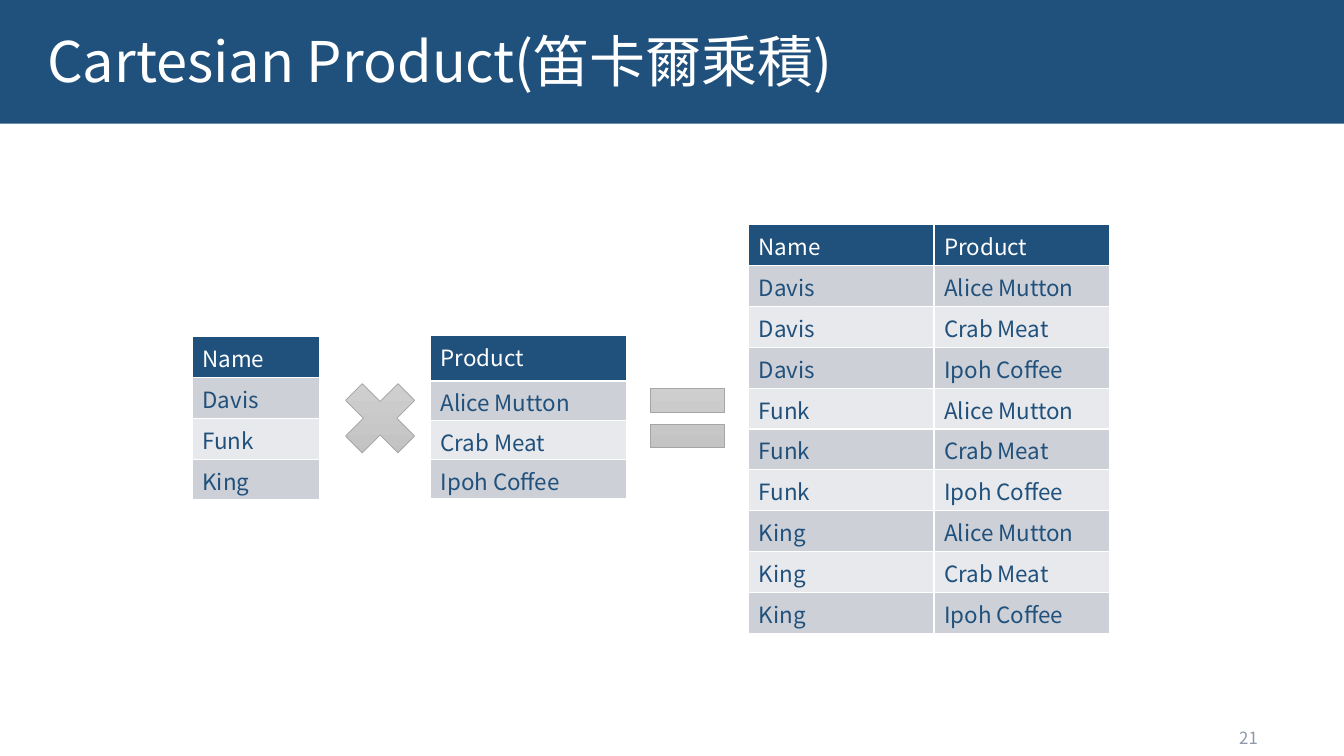
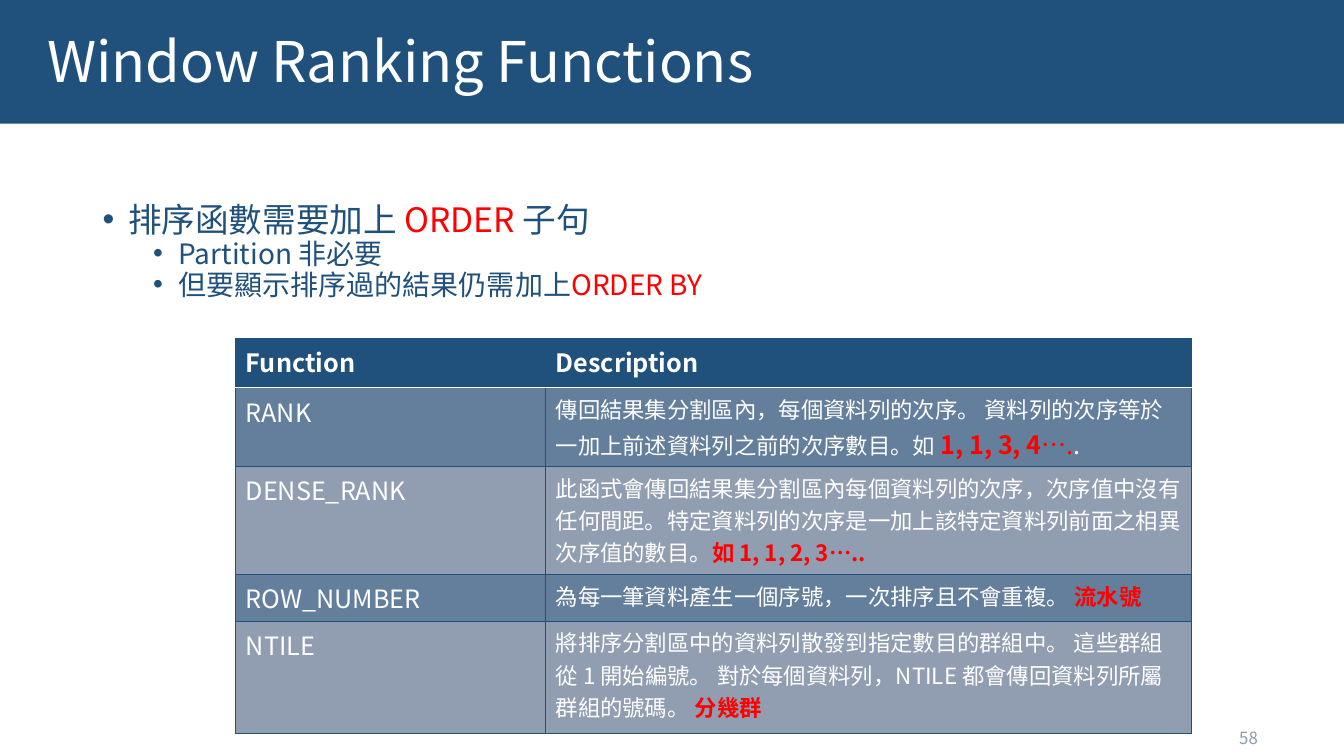
from dataclasses import dataclass
from itertools import product

from lxml import etree
from pptx import Presentation
from pptx.dml.color import RGBColor
from pptx.enum.shapes import MSO_SHAPE
from pptx.enum.text import MSO_ANCHOR, PP_ALIGN
from pptx.oxml.ns import qn
from pptx.util import Cm, Pt

RECTANGLE = MSO_SHAPE.RECTANGLE
MULTIPLY, EQUAL = MSO_SHAPE.MATH_MULTIPLY, MSO_SHAPE.MATH_EQUAL
MIDDLE, RIGHT = MSO_ANCHOR.MIDDLE, PP_ALIGN.RIGHT

FONT = "Noto Sans CJK SC"
NAVY, WHITE, RED, GREY = "20517C", "FFFFFF", "FF0000", "8D98AA"
BANDS = ("CDD0D7", "E8E9EC")
DARK_BANDS = ("647F9C", "919DB1")
OPERATOR_LIGHT, OPERATOR_DARK, OPERATOR_EDGE = "D2D2D2", "C0C0C0", "A5A5A5"
SIDES = ("L", "R", "T", "B")
HIGHLIGHT = {"color": RED, "bold": True}


@dataclass
class Box:
    """A region of the slide, in centimetres."""

    left: float
    top: float
    width: float
    height: float

    def lengths(self):
        """Return the four lengths in the order that shapes take them."""
        return tuple(map(Cm, (self.left, self.top, self.width, self.height)))


PAGE = Box(0, 0, 33.87, 19.05)
BAND = Box(0, 0, PAGE.width, 3.12)
TITLE = Box(0.94, 0.86, 32, 1.37)
PAGE_NUMBER = Box(24.33, 18.08, 7.62, 1.02)
EQUATION = Box(4.85, 5.66, 23.11, 10.3)
BULLETS = Box(2.34, 5.08, 29.21, 12.09)
FUNCTIONS = Box(5.94, 8.53, 24.09, 9.95)

NAMES = ("Davis", "Funk", "King")
PRODUCTS = ("Alice Mutton", "Crab Meat", "Ipoh Coffee")

RANKING_NOTES = [
    (0, ["排序函數需要加上 ", ("ORDER ", {"color": RED}), "子句"]),
    (1, ["Partition 非必要"]),
    (1, ["但要顯示排序過的結果仍需加上", ("ORDER BY", {"color": RED})]),
]
RANKING_FUNCTIONS = [
    ("RANK", [
        "傳回結果集分割區內，每個資料列的次序。 資料列的次序等於一加上前述資料列之前的次序數目。如 ",
        ("1, 1, 3, 4", {"size": 18, **HIGHLIGHT}),
        ("….", {"size": 18, "color": RED}),
        (".", {"size": 18}),
    ]),
    ("DENSE_RANK", [
        "此函式會傳回結果集分割區內每個資料列的次序，次序值中沒有任何間距。"
        "特定資料列的次序是一加上該特定資料列前面之相異次序值的數目。",
        ("如 1, 1, 2, 3…..", HIGHLIGHT),
    ]),
    ("ROW_NUMBER", [
        "為每一筆資料產生一個序號，一次排序且不會重複。 ",
        ("流水號", HIGHLIGHT),
    ]),
    ("NTILE", [
        "將排序分割區中的資料列散發到指定數目的群組中。 這些群組從 1 開始編號。 "
        "對於每個資料列，NTILE 都會傳回資料列所屬群組的號碼。 ",
        ("分幾群", HIGHLIGHT),
    ]),
]


def rgb(value):
    """Turn a hex string into a colour."""
    return RGBColor.from_string(value)


def apply(target, values):
    """Set each named attribute of the target."""
    for name, value in values.items():
        setattr(target, name, value)


def write(paragraph, pieces, size, color, bold=False):
    """Write plain or specially formatted pieces as runs."""
    for piece in pieces:
        text, changes = (piece, {}) if isinstance(piece, str) else piece
        look = {"size": size, "color": color, "bold": bold, **changes}
        run = paragraph.add_run()
        run.text = text
        apply(run.font, {"name": FONT, "size": Pt(look["size"]), "bold": look["bold"]})
        run.font.color.rgb = rgb(look["color"])
        latin = run.font._element.find(qn("a:latin"))
        latin.addnext(latin.makeelement(qn("a:ea"), {"typeface": FONT}))


def add_text(slide, box):
    """Add a wrapping text box and return its text frame."""
    frame = slide.shapes.add_textbox(*box.lengths()).text_frame
    frame.word_wrap = True
    return frame


def add_frame(slide, title, number):
    """Place the title band, the title and the page number."""
    band = slide.shapes.add_shape(RECTANGLE, *BAND.lengths())
    band.shadow.inherit = False
    band.fill.solid()
    band.fill.fore_color.rgb = rgb(NAVY)
    band.line.fill.background()
    heading = add_text(slide, TITLE).paragraphs[0]
    heading.line_spacing = 0.8
    write(heading, [title], 40, WHITE)
    footer = add_text(slide, PAGE_NUMBER)
    footer.vertical_anchor = MIDDLE
    footer.paragraphs[0].alignment = RIGHT
    write(footer.paragraphs[0], [number], 12, GREY)


def set_border(cell, side, color, width):
    """Draw one side of a cell."""
    properties = cell._tc.get_or_add_tcPr()
    line = etree.SubElement(properties, qn(f"a:ln{side}"), w=str(Pt(width)))
    fill = etree.SubElement(line, qn("a:solidFill"))
    etree.SubElement(fill, qn("a:srgbClr"), val=color)


def add_grid(slide, left, top, widths, heights, rows, bands, edge, sizes, text_color, bold=False):
    """Place a table with a navy header, banded rows and thin borders."""
    box = Box(left, top, sum(widths), sum(heights))
    table = slide.shapes.add_table(len(rows), len(widths), *box.lengths()).table
    apply(table, {"first_row": False, "horz_banding": False})
    for column, width in zip(table.columns, widths):
        column.width = Cm(width)
    for row, height in zip(table.rows, heights):
        row.height = Cm(height)
    for r, c in product(range(len(rows)), range(len(widths))):
        cell, content = table.cell(r, c), rows[r][c]
        for side in SIDES:
            below_header = (r, side) in ((0, "B"), (1, "T"))
            set_border(cell, side, *((WHITE, 1) if below_header else edge))
        cell.fill.solid()
        cell.fill.fore_color.rgb = rgb(bands[(r - 1) % 2] if r else NAVY)
        pieces = [content] if isinstance(content, str) else content
        size = sizes[c] if r else sizes[0]
        write(cell.text_frame.paragraphs[0], pieces, size,
              text_color if r else WHITE, bold and r == 0)


def add_operator(slide, kind, left, middle):
    """Place a grey operator sign centred on a height."""
    side = 2.54
    sign = slide.shapes.add_shape(kind, *Box(left, middle - side / 2, side, side).lengths())
    sign.shadow.inherit = False
    sign.fill.gradient()
    sign.fill.gradient_angle = 270
    for stop, color in zip(sign.fill.gradient_stops, (OPERATOR_LIGHT, OPERATOR_DARK)):
        stop.color.rgb = rgb(color)
    sign.line.color.rgb = rgb(OPERATOR_EDGE)
    sign.line.width = Pt(0.5)


def add_equation(slide, box):
    """Place names times products equals all pairs."""
    middle = box.top + 4.88
    row = box.height / 10
    names = [("Name",), *((name,) for name in NAMES)]
    products = [("Product",), *((item,) for item in PRODUCTS)]
    pairs = [("Name", "Product"), *product(NAMES, PRODUCTS)]
    grids = [
        (0, middle - 2.06, (3.2,), [row] * 4, names),
        (6, middle - 2.08, (4.93,), [1.14, 0.99, 0.99, 0.99], products),
        (14.02, box.top, (4.67, 4.42), [row] * 10, pairs),
    ]
    for offset, top, widths, heights, rows in grids:
        add_grid(slide, box.left + offset, top, widths, heights, rows,
                 BANDS, (WHITE, 1), (16, 16), NAVY)
    for kind, offset in ((MULTIPLY, 3.46), (EQUAL, 11.2)):
        add_operator(slide, kind, box.left + offset, middle)


def add_bullets(slide, box, items):
    """Place a two-level bullet list."""
    frame = add_text(slide, box)
    for index, (level, pieces) in enumerate(items):
        paragraph = frame.add_paragraph() if index else frame.paragraphs[0]
        properties = paragraph._p.get_or_add_pPr()
        properties.set("marL", str(Cm(0.64 + 1.27 * level)))
        properties.set("indent", str(Cm(-0.64)))
        etree.SubElement(properties, qn("a:buFont"), typeface="Arial")
        etree.SubElement(properties, qn("a:buChar"), char="•")
        apply(paragraph, {"level": level, "line_spacing": 0.8,
                          "space_before": Pt(3 if index else 0)})
        write(paragraph, pieces, 24 - 4 * level, NAVY)


def add_functions(slide, box):
    """Place the table of ranking functions."""
    name_width = 7.81
    add_grid(slide, box.left, box.top, (name_width, box.width - name_width),
             (1.24, 1.98, 2.72, 1.18, 2.83),
             [("Function", "Description"), *RANKING_FUNCTIONS],
             DARK_BANDS, (NAVY, 0.5), (18, 16), WHITE, bold=True)


def main():
    """Build and save both slides."""
    deck = Presentation()
    apply(deck, {"slide_width": Cm(PAGE.width), "slide_height": Cm(PAGE.height)})
    blank = deck.slide_layouts[6]

    cartesian = deck.slides.add_slide(blank)
    add_frame(cartesian, "Cartesian Product(笛卡爾乘積)", "21")
    add_equation(cartesian, EQUATION)

    ranking = deck.slides.add_slide(blank)
    add_frame(ranking, "Window Ranking Functions", "58")
    add_bullets(ranking, BULLETS, RANKING_NOTES)
    add_functions(ranking, FUNCTIONS)

    deck.save("out.pptx")


if __name__ == "__main__":
    main()
